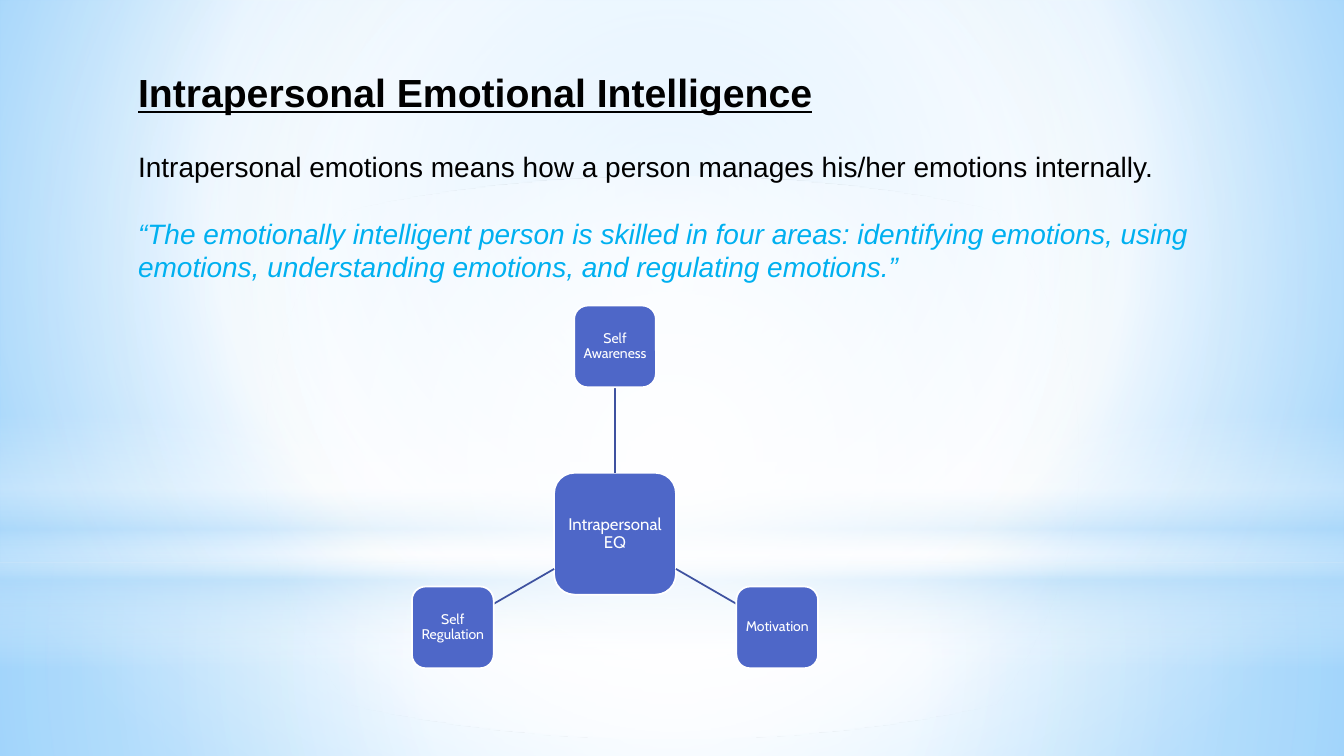
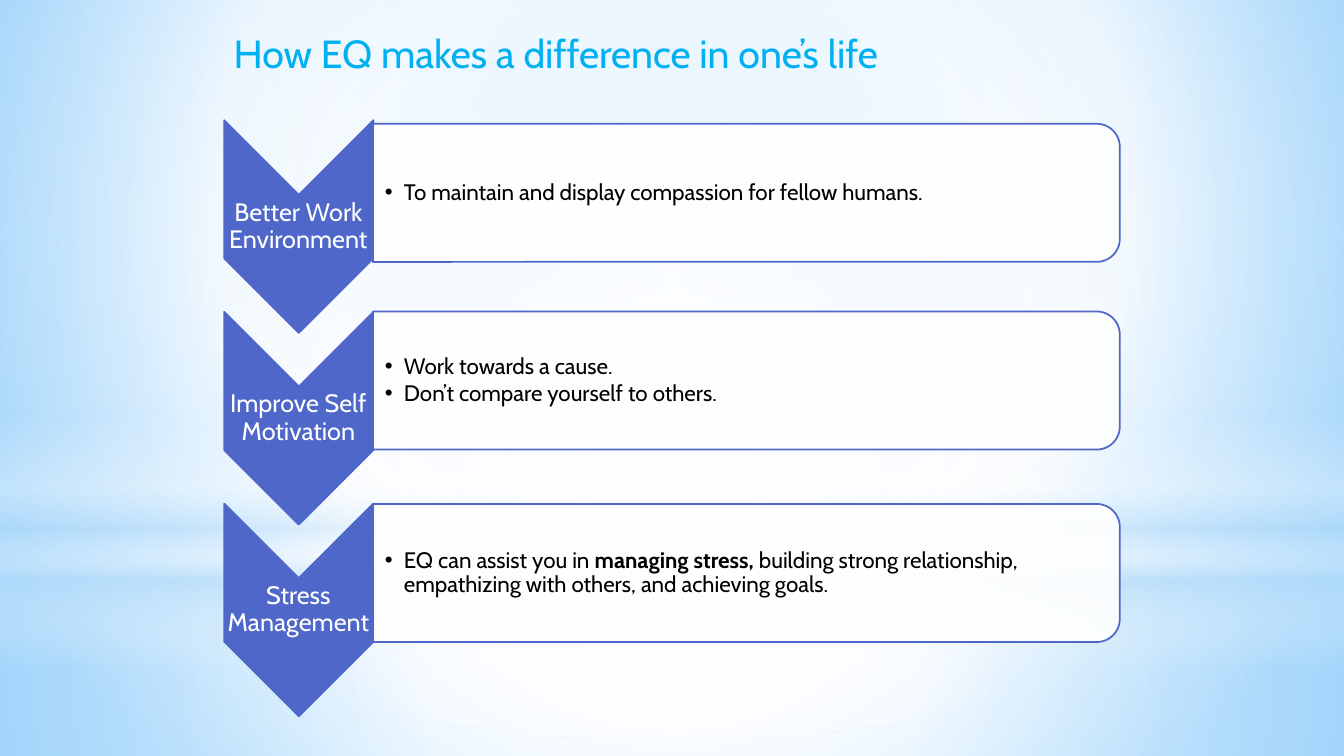
from math import cos, radians, sin

from lxml.etree import SubElement
from pptx import Presentation
from pptx.dml.color import RGBColor
from pptx.enum.shapes import MSO_CONNECTOR, MSO_SHAPE
from pptx.enum.text import MSO_ANCHOR, PP_ALIGN
from pptx.oxml.ns import qn
from pptx.util import Cm, Pt

WIDTH, HEIGHT = 33.87, 19.05
INDIGO, NAVY, CYAN = "4E67C8", "3E52A0", "00B0F0"
WHITE, BLACK, PALE = "FFFFFF", "000000", "B4DCFA"
MIDDLE = (50, 50, 50, 50)


def rgb(code):
    return RGBColor.from_string(code)


def blend(grad, stops, focus=None):
    """Fill a gradFill with (place, colour, opacity) stops, round if a focus is given."""
    grad.clear()
    group = SubElement(grad, qn("a:gsLst"))
    for place, code, alpha in stops:
        stop = SubElement(group, qn("a:gs"), pos=str(place * 1000))
        color = SubElement(stop, qn("a:srgbClr"), val=code)
        if alpha < 100:
            SubElement(color, qn("a:alpha"), val=str(alpha * 1000))
    if focus:
        route = SubElement(grad, qn("a:path"), path="circle")
        sides = {side: str(part * 1000) for side, part in zip("ltrb", focus)}
        SubElement(route, qn("a:fillToRect"), **sides)
    else:
        SubElement(grad, qn("a:lin"), ang="5400000", scaled="0")


class Deck:
    """The style of the deck and the slide being drawn; lengths are in cm."""

    def __init__(self):
        self.prs = Presentation()
        self.prs.slide_width, self.prs.slide_height = Cm(WIDTH), Cm(HEIGHT)
        self.slide = None
        self.new()
        self.dress()

    def new(self):
        self.slide = self.prs.slides.add_slide(self.prs.slide_layouts[6])

    def dress(self):
        """Give the slide master its background and bands of light."""
        master = self.prs.slide_master
        master.background.fill.gradient()
        blend(next(master.element.iter(qn("a:gradFill"))),
              [(0, "9ED5FF", 100), (60, WHITE, 100), (100, "5BB9FF", 100)],
              (20, 10, 20, 60))
        rect, oval = MSO_SHAPE.RECTANGLE, MSO_SHAPE.OVAL
        bands = [
            (rect, 14.17, 4.88, MIDDLE,
             [(0, WHITE, 91), (37, WHITE, 76), (100, PALE, 79)]),
            (rect, 0, 14.17, MIDDLE,
             [(0, WHITE, 89), (48, WHITE, 62), (100, PALE, 79)]),
            (rect, 10.46, 6.35, None,
             [(0, WHITE, 0), (29, WHITE, 30), (45, PALE, 40),
              (55, WHITE, 26), (65, PALE, 60), (100, WHITE, 0)]),
            (oval, 4.45, 14.17, MIDDLE, [(0, WHITE, 100), (56, WHITE, 0)]),
        ]
        tree = master.element.cSld.spTree
        for order, (kind, top, height, focus, stops) in enumerate(bands):
            band = self.shape(kind, WIDTH / 2, top + height / 2, WIDTH, height)
            band.fill.gradient()
            blend(next(band.element.iter(qn("a:gradFill"))), stops, focus)
            band.element.nvSpPr.cNvPr.id = 20 + order
            tree.append(band.element)

    def shape(self, kind, x, y, width, height, fill=None, line=None, turn=0, alpha=100):
        """Add a preset shape centred on x, y."""
        item = self.slide.shapes.add_shape(
            kind, Cm(x - width / 2), Cm(y - height / 2), Cm(width), Cm(height))
        item.shadow.inherit = False
        item.rotation = turn
        if fill:
            item.fill.solid()
            item.fill.fore_color.rgb = rgb(fill)
            if alpha < 100:
                color = next(item.element.spPr.iter(qn("a:srgbClr")))
                SubElement(color, qn("a:alpha"), val=str(alpha * 1000))
        if line:
            item.line.color.rgb = rgb(line)
            item.line.width = Pt(1.25)
        else:
            item.line.fill.background()
        return item

    def line(self, start, end):
        item = self.slide.shapes.add_connector(
            MSO_CONNECTOR.STRAIGHT, *[Cm(part) for part in (*start, *end)])
        SubElement(item.element.spPr, qn("a:effectLst"))
        item.line.color.rgb = rgb(NAVY)
        item.line.width = Pt(1.25)
        return item

    def box(self, left, top, width, height):
        return self.slide.shapes.add_textbox(Cm(left), Cm(top), Cm(width), Cm(height))

    def frame(self, item, pad=None, left=None, anchor=MSO_ANCHOR.TOP):
        frame = item.text_frame
        frame.word_wrap = True
        frame.vertical_anchor = anchor
        if pad is not None:
            frame.margin_top = frame.margin_right = frame.margin_bottom = Cm(pad)
            frame.margin_left = Cm(pad if left is None else left)
        return frame

    def para(self, frame, text, size, color, face="Cabin", align=PP_ALIGN.LEFT,
             pitch=0.9, before=0, bullet=False, **marks):
        """Add a paragraph; words between asterisks are bold."""
        para = frame.paragraphs[0]
        if para.runs:
            para = frame.add_paragraph()
            para.space_before = Pt(before)
        for order, part in enumerate(text.split("*")):
            run = para.add_run()
            run.text = part
            if order % 2:
                run.font.bold = True
        if bullet:
            props = para._p.get_or_add_pPr()
            props.set("marL", str(Cm(0.48)))
            props.set("indent", str(-Cm(0.48)))
            SubElement(props, qn("a:buFont"), typeface="Arial")
            SubElement(props, qn("a:buChar"), char="•")
        para.alignment = align
        para.line_spacing = pitch
        font = para.font
        font.name, font.size, font.color.rgb = face, Pt(size), rgb(color)
        for name, value in marks.items():
            setattr(font, name, value)

    def label(self, item, text, size, pad):
        frame = self.frame(item, pad, anchor=MSO_ANCHOR.MIDDLE)
        self.para(frame, text, size, WHITE, align=PP_ALIGN.CENTER)

    def node(self, text, x, y, side, size):
        item = self.shape(MSO_SHAPE.ROUNDED_RECTANGLE, x, y, side, side, INDIGO, WHITE)
        self.label(item, text, size, 0.05)
        return item

    def wheel(self, x, y, core, parts):
        """Draw a core with parts around it, spaced evenly from the top."""
        large, small, radius = 3.07, 2.06, 4.72
        hub = self.node(core, x, y, large, 12)
        for order, text in enumerate(parts):
            angle = radians(order * 360 / len(parts) - 90)
            across, down = cos(angle), sin(angle)
            reach = 2 * max(abs(across), abs(down))
            near, far = large / reach, radius - small / reach
            spoke = self.line((x + near * across, y + near * down),
                              (x + far * across, y + far * down))
            node = self.node(text, x + radius * across, y + radius * down, small, 10)
            if order == 0:
                spoke.begin_connect(hub, 0)
                spoke.end_connect(node, 2)

    def step(self, mid, name, card, points):
        """Draw a chevron centred at mid beside a card centred at card."""
        self.shape(MSO_SHAPE.CHEVRON, 7.53, mid, 5.36, 3.76, INDIGO, INDIGO, 90)
        self.label(self.box(5.64, mid - 0.8, 3.76, 1.6), name, 18, 0.03)
        self.shape(MSO_SHAPE.ROUND_2_SAME_RECTANGLE, 18.81, card, 3.48, 18.82,
                   WHITE, INDIGO, 90, 90)
        frame = self.frame(self.box(9.4, card - 1.58, 18.64, 3.16), 0.03, 0.3,
                           MSO_ANCHOR.MIDDLE)
        for point in points:
            self.para(frame, point, 16, BLACK, before=2, bullet=True)


def main():
    deck = Deck()
    intro = deck.frame(deck.box(3.23, 1.6, 27.43, 5.49))
    plain = dict(face="Arial", pitch=1.0, before=24)
    deck.para(intro, "Intrapersonal Emotional Intelligence", 28, BLACK,
              bold=True, underline=True, **plain)
    deck.para(intro, "Intrapersonal emotions means how a person manages his/her "
              "emotions internally.", 20, BLACK, **plain)
    deck.para(intro, "“The emotionally intelligent person is skilled in four areas: "
              "identifying emotions, using emotions, understanding emotions, and "
              "regulating emotions.”", 20, CYAN, italic=True, **plain)
    deck.wheel(15.5, 13.45, "Intrapersonal EQ",
               ["Self Awareness", "Motivation", "Self Regulation"])

    deck.new()
    steps = [
        ("Better Work Environment", 4.86,
         ["To maintain and display compassion for fellow humans."]),
        ("Improve Self Motivation", 9.59,
         ["Work towards a cause.", "Don’t compare yourself to others."]),
        ("Stress Management", 14.44,
         ["EQ can assist you in *managing stress, *building strong relationship, "
          "empathizing with others, and achieving goals."]),
    ]
    for order, (name, card, points) in enumerate(steps):
        deck.step(5.71 + order * 4.83, name, card, points)
    title = deck.frame(deck.box(5.64, 0.61, 19.89, 1.45))
    deck.para(title, "How EQ makes a difference in one’s life", 28, CYAN, pitch=1.0)
    deck.prs.save("out.pptx")


if __name__ == "__main__":
    main()
